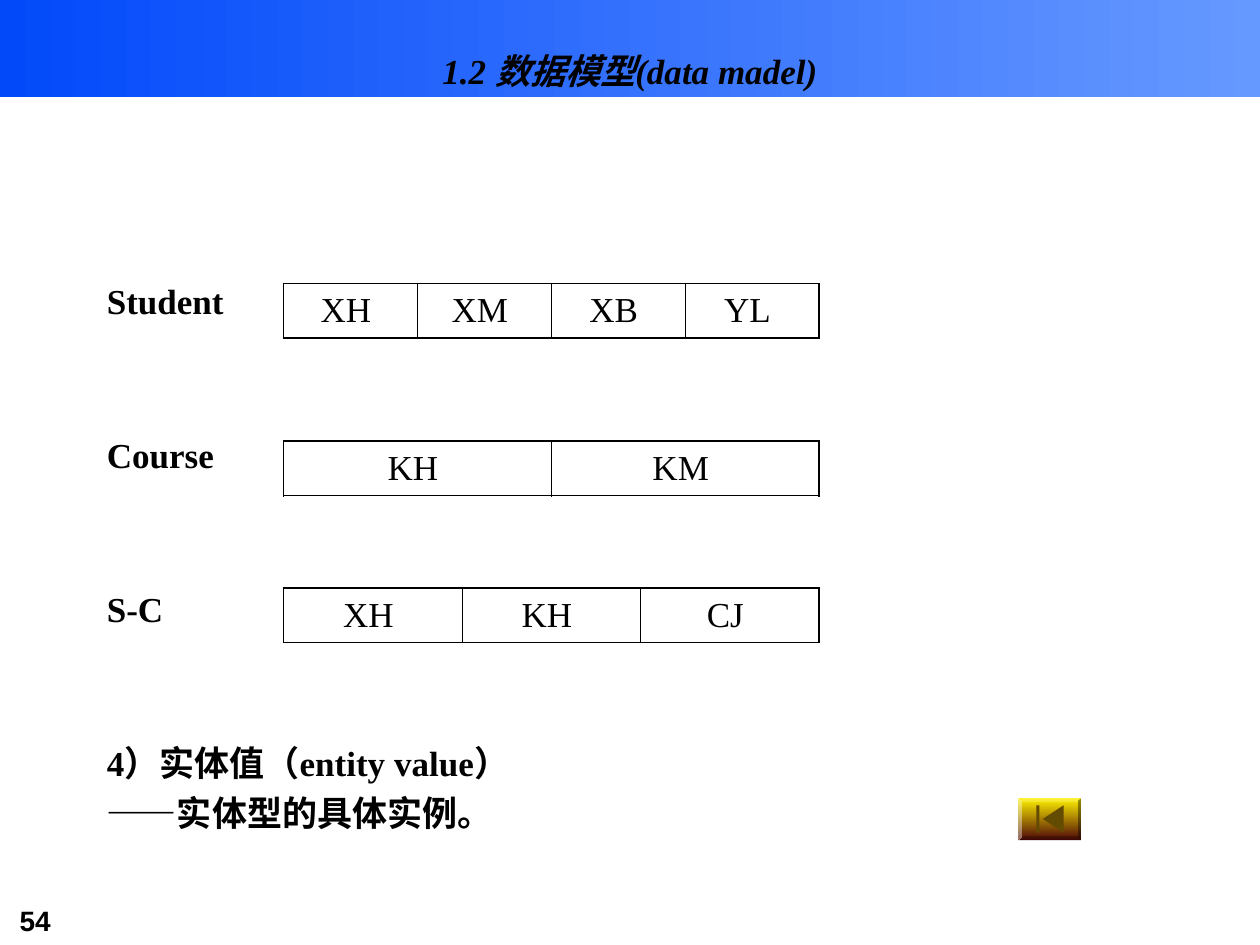
from dataclasses import dataclass

from lxml import etree
from pptx import Presentation
from pptx.dml.color import RGBColor
from pptx.enum.shapes import MSO_SHAPE
from pptx.enum.text import MSO_ANCHOR, PP_ALIGN
from pptx.oxml.ns import qn
from pptx.util import Inches, Pt

RECTANGLE, BEVEL = MSO_SHAPE.RECTANGLE, MSO_SHAPE.BEVEL
LEFT, CENTER = PP_ALIGN.LEFT, PP_ALIGN.CENTER
TOP, MIDDLE = MSO_ANCHOR.TOP, MSO_ANCHOR.MIDDLE

COLUMNS, ROWS = 120, 90
SLIDE_WIDTH, SLIDE_HEIGHT = Inches(10), Inches(7.5)
BLACK, ICON_BROWN = "000000", "644B02"
SERIF, SANS = "Times New Roman", "Arial"
OUTER_LINE, INNER_LINE = Pt(1.08), Pt(0.45)


@dataclass
class Area:
    """A rectangle in grid columns and rows."""
    column: float
    row: float
    width: float
    height: float

    def box(self) -> tuple:
        return (across(self.column), down(self.row),
                across(self.width), down(self.height))


@dataclass
class TextBlock:
    area: Area
    lines: list[str]
    size: int = 20
    font: str = SERIF
    italic: bool = False
    align: PP_ALIGN = LEFT
    anchor: MSO_ANCHOR = TOP
    gaps: tuple = (0,)


@dataclass
class Relation:
    row: float
    fields: list[str]


def across(columns: float) -> int:
    return round(SLIDE_WIDTH * columns / COLUMNS)


def down(rows: float) -> int:
    return round(SLIDE_HEIGHT * rows / ROWS)


def color(value: str) -> RGBColor:
    return RGBColor.from_string(value)


def style_font(paragraph, size: int, font: str, bold: bool, italic: bool = False) -> None:
    for run in paragraph.runs:
        run.font.size, run.font.name = Pt(size), font
        run.font.bold, run.font.italic = bold, italic
        run.font.color.rgb = color(BLACK)


def fill_solid(shape, value: str) -> None:
    shape.shadow.inherit = False
    shape.line.fill.background()
    shape.fill.solid()
    shape.fill.fore_color.rgb = color(value)


def add_gradient(slide, kind: MSO_SHAPE, area: Area, colors: tuple, angle: int):
    shape = slide.shapes.add_shape(kind, *area.box())
    shape.shadow.inherit = False
    shape.line.fill.background()
    shape.fill.gradient()
    shape.fill.gradient_angle = angle
    for stop, value in zip(shape.fill.gradient_stops, colors):
        stop.color.rgb = color(value)
    return shape


def add_text(slide, block: TextBlock) -> None:
    text_frame = slide.shapes.add_textbox(*block.area.box()).text_frame
    text_frame.word_wrap = True
    text_frame.vertical_anchor = block.anchor
    text_frame.text = "\n".join(block.lines)
    for paragraph, gap in zip(text_frame.paragraphs, block.gaps):
        paragraph.alignment = block.align
        paragraph.space_before = Pt(gap)
        style_font(paragraph, block.size, block.font, True, block.italic)


def set_borders(cell, first: bool, last: bool) -> None:
    properties = cell._tc.get_or_add_tcPr()
    widths = {
        "a:lnL": OUTER_LINE if first else INNER_LINE,
        "a:lnR": OUTER_LINE if last else INNER_LINE,
        "a:lnT": OUTER_LINE,
        "a:lnB": OUTER_LINE,
    }
    for index, (tag, width) in enumerate(widths.items()):
        line = etree.Element(qn(tag), w=str(int(width)))
        solid = etree.SubElement(line, qn("a:solidFill"))
        etree.SubElement(solid, qn("a:srgbClr"), val=BLACK)
        properties.insert(index, line)


def add_relation(slide, relation: Relation) -> None:
    """Draw a relation as a one-row table with equal columns."""
    area = Area(27, relation.row, 51, 5.2)
    count = len(relation.fields)
    table = slide.shapes.add_table(1, count, *area.box()).table
    table.first_row = table.horz_banding = False
    for index, field in enumerate(relation.fields):
        table.columns[index].width = across(area.width / count)
        cell = table.cell(0, index)
        cell.text_frame.text = field
        cell.vertical_anchor = MIDDLE
        cell.margin_right = Inches(0.17)
        cell.fill.background()
        set_borders(cell, index == 0, index == count - 1)
        paragraph = cell.text_frame.paragraphs[0]
        paragraph.alignment = CENTER
        style_font(paragraph, 20, SERIF, False)


def add_back_button(slide) -> None:
    button = add_gradient(slide, BEVEL, Area(97, 76, 6, 4), ("FFF200", "4D0808"), 270)
    button.adjustments[0] = 0.08
    bar = slide.shapes.add_shape(RECTANGLE, *Area(98.7, 76.7, 0.3, 2.6).box())
    fill_solid(bar, ICON_BROWN)
    builder = slide.shapes.build_freeform(across(99.3), down(78))
    builder.add_line_segments([(across(101.3), down(76.7)), (across(101.3), down(79.3))])
    fill_solid(builder.convert_to_shape(), ICON_BROWN)


TEXTS = [
    TextBlock(Area(0.7, 85.5, 14.6, 4.5), ["54"], size=16, font=SANS),
    TextBlock(Area(9, 3, 102, 7.5), ["1.2 数据模型(data madel)"],
              italic=True, align=CENTER, anchor=MIDDLE),
    TextBlock(Area(9, 26, 102, 54),
              ["Student", "Course", "S-C", "4）实体值（entity value）", "——实体型的具体实例。"],
              gaps=(0, 64, 64, 64, 5)),
]
RELATIONS = [
    Relation(27, ["XH", "XM", "XB", "YL"]),
    Relation(42, ["KH", "KM"]),
    Relation(56, ["XH", "KH", "CJ"]),
]


def main() -> None:
    presentation = Presentation()
    presentation.slide_width, presentation.slide_height = SLIDE_WIDTH, SLIDE_HEIGHT
    slide = presentation.slides.add_slide(presentation.slide_layouts[6])
    add_gradient(slide, RECTANGLE, Area(0, 0, COLUMNS, 9.2), ("0249FA", "6699FF"), 0)
    for block in TEXTS:
        add_text(slide, block)
    add_back_button(slide)
    for relation in RELATIONS:
        add_relation(slide, relation)
    presentation.save("out.pptx")


if __name__ == "__main__":
    main()
